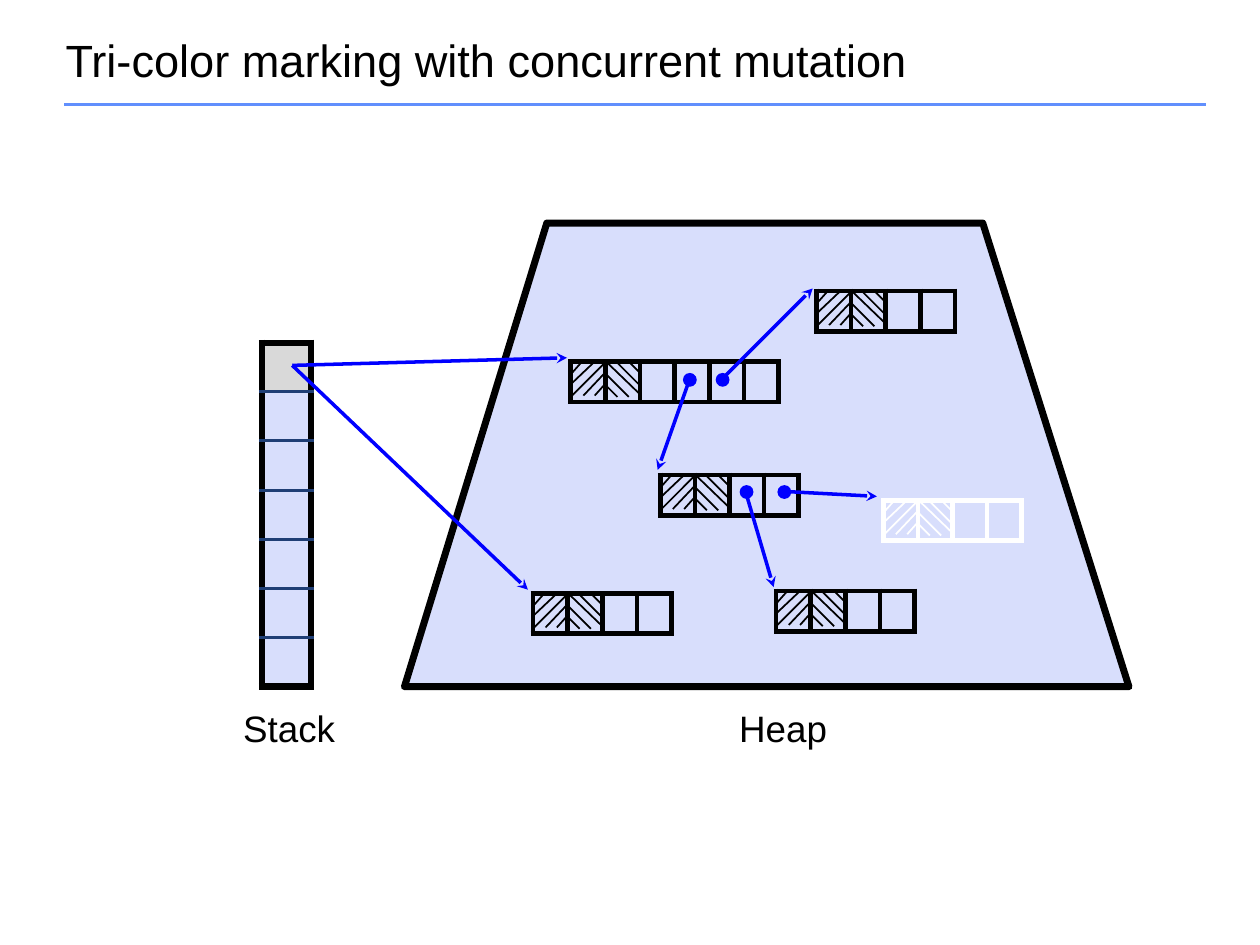
from lxml import etree
from pptx import Presentation
from pptx.dml.color import RGBColor
from pptx.enum import shapes, text
from pptx.oxml import ns
from pptx.util import Inches, Pt

BLACK, WHITE, BLUE, LAVENDER, NAVY = "000000", "FFFFFF", "0000FF", "BFC8FB", "1F3E75"
FIELD_WIDTH, FIELD_HEIGHT = 0.275, 0.32
SLOT_WIDTH, SLOT_HEIGHT, SLOTS = 0.39, 0.39, 7

# Hatching of the two header fields, relative to the object's corner
HATCHING = [
    ((0.19, 0), (0, 0.18)), ((0.28, 0), (0.01, 0.27)), ((0.09, 0), (0.01, 0.09)),
    ((0.27, 0.09), (0.1, 0.27)), ((0.27, 0.18), (0.19, 0.27)),
    ((0.54, 0.18), (0.36, 0)), ((0.55, 0.26), (0.28, 0)), ((0.55, 0.09), (0.46, 0)),
    ((0.46, 0.28), (0.27, 0.09)), ((0.37, 0.28), (0.27, 0.18)),
]

# Left, top, number of fields, colour
HEAP_OBJECTS = [
    (5.24, 3.77, 4, BLACK), (6.48, 2.31, 4, BLACK), (7.01, 3.97, 4, WHITE),
    (4.23, 4.71, 4, BLACK), (4.53, 2.87, 6, BLACK), (6.16, 4.69, 4, BLACK),
]

# Tip, origin
POINTERS = [
    ((5.22, 3.73), (5.47, 3.02)), ((6.45, 2.29), (5.75, 2.99)),
    ((6.14, 4.66), (5.92, 3.91)), ((4.5, 2.84), (2.32, 2.9)),
    ((4.19, 4.68), (2.32, 2.9)), ((6.96, 3.94), (6.22, 3.9)),
]
POINTER_DOTS = [(5.42, 2.96), (5.68, 2.96), (5.87, 3.85), (6.17, 3.85)]


def rgb(value):
    return RGBColor.from_string(value)


def add_xml(parent, tag, **attributes):
    return etree.SubElement(parent, ns.qn(tag), attributes)


def set_fill(fill, color, alpha=None):
    if color is None:
        fill.background()
        return
    fill.solid()
    fill.fore_color.rgb = rgb(color)
    if alpha is not None:
        for tint in fill._xPr.iter(ns.qn("a:srgbClr")):
            add_xml(tint, "a:alpha", val=str(alpha * 1000))


def write(frame, words, size=21, align=None, anchor=None, wrap=True, inset=0.04, spacing=None):
    frame.word_wrap = wrap
    frame.vertical_anchor = anchor
    frame.margin_left = frame.margin_right = Inches(inset)
    frame.margin_top = frame.margin_bottom = Inches(min(inset, 0.05))
    paragraph = frame.paragraphs[0]
    paragraph.alignment = align
    paragraph.line_spacing = spacing
    run = paragraph.add_run()
    run.text = words
    run.font.size, run.font.name = Pt(size), "Arial"
    run.font.color.rgb = rgb(BLACK)


def add_line(parent, start, end, color, width, head=None):
    line = parent.shapes.add_connector(
        shapes.MSO_CONNECTOR.STRAIGHT, *(Inches(value) for value in start + end))
    line.line.color.rgb = rgb(color)
    line.line.width = Pt(width)
    if head:
        add_xml(line.line._get_or_add_ln(), "a:headEnd", type=head)
    add_xml(line._element.spPr, "a:effectLst")


def add_dot(slide, left, top, size=0.11):
    dot = slide.shapes.add_shape(
        shapes.MSO_SHAPE.OVAL, Inches(left), Inches(top), Inches(size), Inches(size))
    dot.shadow.inherit = False
    set_fill(dot.fill, BLUE)
    dot.line.fill.background()


def add_heap(slide):
    corners = [(4.34, 1.77), (7.8, 1.77), (8.96, 5.45), (3.21, 5.45)]
    points = [(Inches(x), Inches(y)) for x, y in corners]
    builder = slide.shapes.build_freeform(*points[0], scale=1.0)
    builder.add_line_segments(points[1:], close=True)
    heap = builder.convert_to_shape()
    heap.shadow.inherit = False
    set_fill(heap.fill, LAVENDER, 60)
    heap.line.color.rgb = rgb(BLACK)
    heap.line.width = Pt(4)
    add_xml(heap.line._get_or_add_ln(), "a:round")


def set_borders(cell, borders):
    """Take (colour, width) for the left, right, top and bottom edge."""
    for side, (color, width) in zip("LRTB", borders):
        edge = add_xml(cell._tc.get_or_add_tcPr(), "a:ln" + side, w=str(Pt(width)))
        add_xml(add_xml(edge, "a:solidFill"), "a:srgbClr", val=color)


def add_grid(slide, left, top, rows, columns, width, height):
    grid = slide.shapes.add_table(
        rows, columns, Inches(left), Inches(top),
        Inches(columns * width), Inches(rows * height)).table
    grid.first_row = grid.horz_banding = False
    for cell in grid.iter_cells():
        cell.margin_left = cell.margin_right = cell.margin_top = cell.margin_bottom = 0
    return grid


def add_heap_object(slide, left, top, fields, color):
    grid = add_grid(slide, left, top, 1, fields, FIELD_WIDTH, FIELD_HEIGHT)
    for cell in grid.iter_cells():
        set_borders(cell, [(color, 3)] * 4)
        set_fill(cell.fill, None)
    hatching = slide.shapes.add_group_shape()
    for start, end in HATCHING:
        add_line(hatching, (left + start[0], top + start[1]),
                 (left + end[0], top + end[1]), color, 1)


def add_stack(slide):
    grid = add_grid(slide, 2.08, 2.72, SLOTS, 1, SLOT_WIDTH, SLOT_HEIGHT)
    outer, inner = (BLACK, 4), (NAVY, 2)
    for index, cell in enumerate(grid.iter_cells()):
        set_borders(cell, [outer, outer, outer if index == 0 else inner,
                           outer if index == SLOTS - 1 else inner])
        if index == 0:
            set_fill(cell.fill, "D9D9D9")
        else:
            set_fill(cell.fill, LAVENDER, 60)


def add_label(slide, words, left):
    label = slide.shapes.add_textbox(Inches(left), Inches(5.56), Inches(0.91), Inches(0.43))
    write(label.text_frame, words, align=text.PP_ALIGN.CENTER, wrap=False)


def main():
    deck = Presentation()
    deck.slide_width, deck.slide_height = Inches(10), Inches(7.5)
    slide = deck.slides.add_slide(deck.slide_layouts[5])

    # Title and rule
    title = slide.shapes.title
    title.left, title.top = Inches(0.42), Inches(0.25)
    title.width, title.height = Inches(9.17), Inches(0.5)
    write(title.text_frame, "Tri-color marking with concurrent mutation", size=25.8,
          align=text.PP_ALIGN.LEFT, anchor=text.MSO_ANCHOR.MIDDLE, inset=0.1, spacing=0.9)
    add_line(slide, (0.51, 0.83), (9.57, 0.83), "618FFD", 2)

    # Memory areas
    add_heap(slide)
    add_stack(slide)
    for heap_object in HEAP_OBJECTS:
        add_heap_object(slide, *heap_object)
    add_label(slide, "Stack", 1.84)
    add_label(slide, "Heap", 5.76)

    # Pointers
    for dot in POINTER_DOTS:
        add_dot(slide, *dot)
    for tip, origin in POINTERS:
        add_line(slide, tip, origin, BLUE, 2, head="stealth")

    deck.save("out.pptx")


main()
